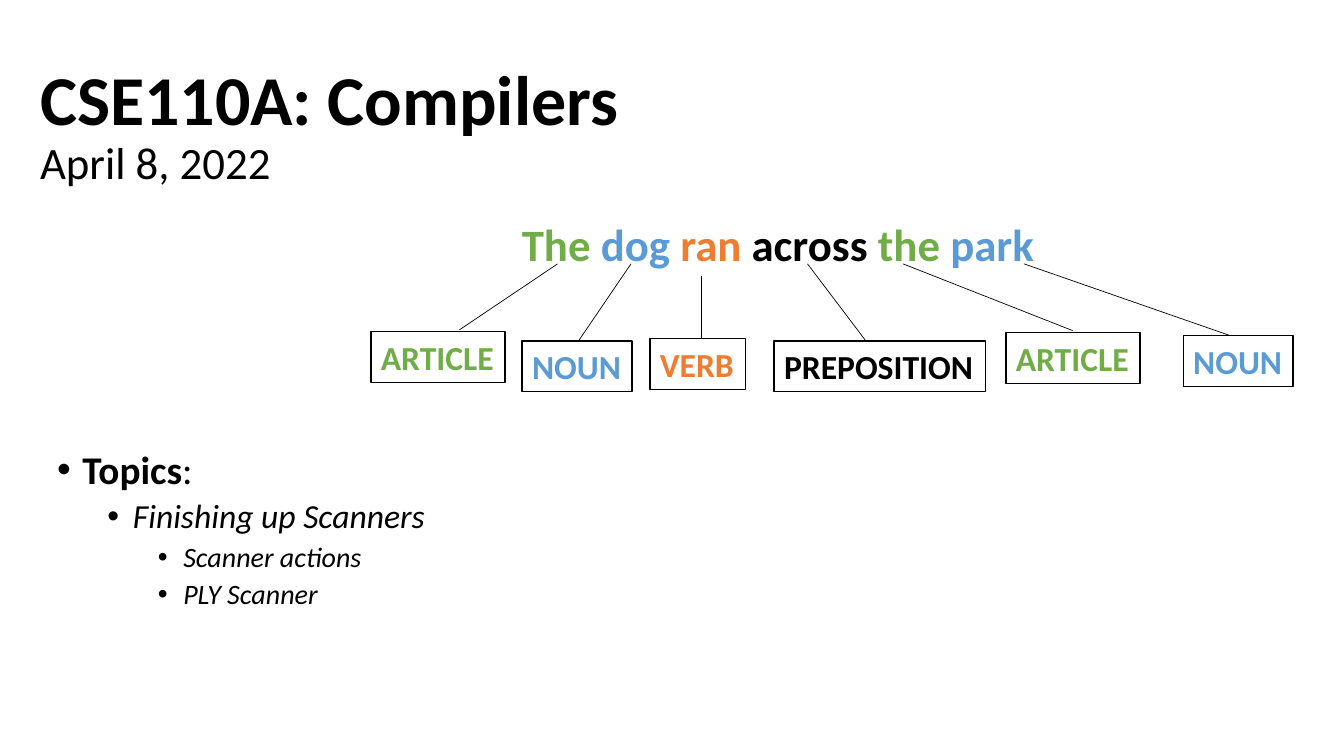
"""Build the opening slide of a compilers lecture with a tagged example sentence."""
from lxml import etree
from pptx import Presentation
from pptx.dml.color import RGBColor
from pptx.enum.shapes import MSO_CONNECTOR, MSO_SHAPE
from pptx.enum.text import MSO_ANCHOR, MSO_AUTO_SIZE, PP_ALIGN
from pptx.oxml.ns import qn
from pptx.util import Cm, Pt

STRAIGHT = MSO_CONNECTOR.STRAIGHT
RECTANGLE = MSO_SHAPE.RECTANGLE
MIDDLE = MSO_ANCHOR.MIDDLE
FIT_TEXT = MSO_AUTO_SIZE.SHAPE_TO_FIT_TEXT
LEFT = PP_ALIGN.LEFT

COLORS = {
    "black": "000000",
    "white": "FFFFFF",
    "article": "70AD47",
    "noun": "5B9BD5",
    "verb": "ED7D31",
    "preposition": "000000",
}


def color(name):
    return RGBColor.from_string(COLORS[name])


def add_text(paragraph, text, size, fill="black", bold=False, italic=False):
    run = paragraph.add_run()
    run.text = text
    run.font.name = "Calibri"
    run.font.size = Pt(size)
    run.font.bold = bold
    run.font.italic = italic
    run.font.color.rgb = color(fill)


presentation = Presentation()
presentation.slide_width = Cm(33.87)
presentation.slide_height = Cm(19.05)
slide = presentation.slides.add_slide(presentation.slide_layouts[6])

title = slide.shapes.add_textbox(Cm(0.76), Cm(1.04), Cm(29.21), Cm(4.32))
title.text_frame.word_wrap = True
title.text_frame.vertical_anchor = MIDDLE
paragraph = title.text_frame.paragraphs[0]
paragraph.line_spacing = 0.9
add_text(paragraph, "CSE110A: Compilers", size=50, bold=True)
paragraph.add_line_break()
add_text(paragraph, "April 8, 2022", size=32)

topics = [
    (0, 28, [("Topics", True, False), (":", False, False)]),
    (1, 24, [("Finishing up Scanners", False, True)]),
    (2, 20, [("Scanner actions", False, True)]),
    (2, 20, [("PLY Scanner", False, True)]),
]
body = slide.shapes.add_textbox(Cm(1.19), Cm(11.23), Cm(19.18), Cm(6.68))
body.text_frame.word_wrap = True
for index, (level, size, parts) in enumerate(topics):
    paragraph = body.text_frame.paragraphs[0] if index == 0 else body.text_frame.add_paragraph()
    paragraph.level = level
    paragraph.line_spacing = 0.9
    paragraph.space_before = Pt(5 if level else 10)
    properties = paragraph._p.get_or_add_pPr()
    properties.set("marL", str(Cm(0.64 + 1.27 * level)))
    properties.set("indent", str(Cm(-0.64)))
    etree.SubElement(properties, qn("a:buFont")).set("typeface", "Arial")
    etree.SubElement(properties, qn("a:buChar")).set("char", "•")
    for text, bold, italic in parts:
        add_text(paragraph, text, size=size, bold=bold, italic=italic)

words = [
    ("The ", "article"),
    ("dog ", "noun"),
    ("ran", "verb"),
    (" across ", "preposition"),
    ("the ", "article"),
    ("park", "noun"),
]
sentence = slide.shapes.add_textbox(Cm(12.9), Cm(5.33), Cm(13.51), Cm(1.63))
sentence.text_frame.word_wrap = False
sentence.text_frame.auto_size = FIT_TEXT
for word, part_of_speech in words:
    add_text(sentence.text_frame.paragraphs[0], word, size=32, fill=part_of_speech, bold=True)

branches = [
    (14.05, 6.65, 11.58, 8.31),
    (15.9, 6.65, 14.58, 8.59),
    (17.68, 6.96, 17.68, 8.59),
    (20.35, 6.65, 21.82, 8.59),
    (22.76, 6.65, 27.03, 8.33),
    (25.81, 6.65, 31.01, 8.46),
]
for ends in branches:
    branch = slide.shapes.add_connector(STRAIGHT, *map(Cm, ends))
    branch.line.color.rgb = color("black")
    branch.line.width = Pt(0.5)
    etree.SubElement(branch._element.spPr, qn("a:effectLst"))

tags = [
    ("article", 9.35, 8.36, 3.38),
    ("noun", 13.16, 8.59, 2.77),
    ("verb", 16.38, 8.53, 2.41),
    ("preposition", 19.51, 8.59, 5.33),
    ("article", 25.35, 8.38, 3.38),
    ("noun", 29.82, 8.46, 2.77),
]
for part_of_speech, left, top, width in tags:
    tag = slide.shapes.add_shape(RECTANGLE, Cm(left), Cm(top), Cm(width), Cm(1.28))
    tag.shadow.inherit = False
    tag.fill.solid()
    tag.fill.fore_color.rgb = color("white")
    tag.line.color.rgb = color("black")
    tag.line.width = Pt(1)
    tag.text_frame.word_wrap = False
    tag.text_frame.auto_size = FIT_TEXT
    paragraph = tag.text_frame.paragraphs[0]
    paragraph.alignment = LEFT
    add_text(paragraph, part_of_speech.upper(), size=24, fill=part_of_speech, bold=True)

presentation.save("out.pptx")
